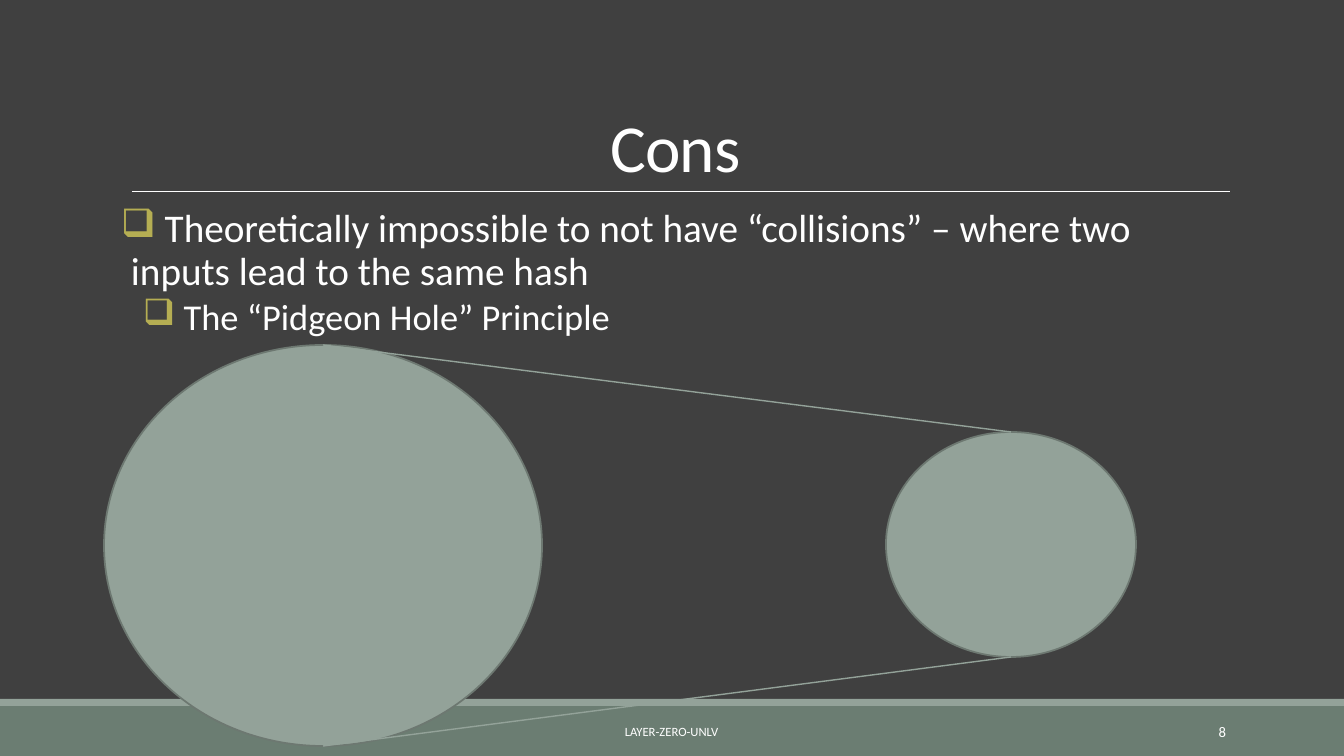
from lxml import etree
from pptx import Presentation
from pptx.dml.color import RGBColor
from pptx.enum.shapes import MSO_CONNECTOR, MSO_SHAPE
from pptx.enum.text import MSO_ANCHOR, MSO_AUTO_SIZE, PP_ALIGN
from pptx.oxml.ns import qn
from pptx.util import Emu, Pt

RECT, OVAL = MSO_SHAPE.RECTANGLE, MSO_SHAPE.OVAL
STRAIGHT = MSO_CONNECTOR.STRAIGHT
TOP, MIDDLE, BOTTOM = MSO_ANCHOR.TOP, MSO_ANCHOR.MIDDLE, MSO_ANCHOR.BOTTOM
LEFT, CENTER, RIGHT = PP_ALIGN.LEFT, PP_ALIGN.CENTER, PP_ALIGN.RIGHT

FONT = "Calibri"
DARK, GREEN, SAGE = "404040", "6B7D72", "93A299"
EDGE, GOLD, WHITE = "6D7871", "B5AE53", "FFFFFF"


def px(num):
    return Emu(round(num * 914400 / 100.8))


def color(code):
    return RGBColor.from_string(code)


def add_block(slide, kind, box, fill, edge=None):
    block = slide.shapes.add_shape(kind, *map(px, box))
    block.shadow.inherit = False
    block.fill.solid()
    block.fill.fore_color.rgb = color(fill)
    if edge:
        block.line.color.rgb = color(edge)
        block.line.width = Pt(1.25)
    else:
        block.line.fill.background()


def add_line(slide, start, end, tint, width):
    line = slide.shapes.add_connector(STRAIGHT, *map(px, start + end))
    line.line.color.rgb = color(tint)
    line.line.width = Pt(width)
    etree.SubElement(line._element.spPr, qn("a:effectLst"))


def set_frame(shape, anchor):
    frame = shape.text_frame
    frame.word_wrap = True
    frame.auto_size = MSO_AUTO_SIZE.NONE
    frame.vertical_anchor = anchor
    return frame


def add_run(para, text, size):
    run = para.add_run()
    run.text = text
    run.font.name = FONT
    run.font.size = Pt(size)
    run.font.color.rgb = color(WHITE)
    return run


def add_title(slide, text):
    title = slide.shapes.title
    title.left, title.top, title.width, title.height = map(px, (121, 31, 1109, 160))
    para = set_frame(title, BOTTOM).paragraphs[0]
    para.alignment = CENTER
    para.line_spacing = 0.85
    run = add_run(para, text, 48)
    run.font._element.set("spc", "-50")


def add_label(slide, box, text, size, align):
    label = slide.shapes.add_textbox(*map(px, box))
    para = set_frame(label, MIDDLE).paragraphs[0]
    para.alignment = align
    add_run(para, text, size)


def set_bullet(para, margin, hang):
    props = para._p.get_or_add_pPr()
    props.set("marL", str(px(margin)))
    props.set("indent", str(px(-hang)))
    tint = etree.SubElement(props, qn("a:buClr"))
    etree.SubElement(tint, qn("a:srgbClr"), val=GOLD)
    etree.SubElement(props, qn("a:buChar"), char="❑")


def add_points(slide, box, points):
    """Each point holds text, size, margin, hang, space before and after."""
    body = slide.shapes.add_textbox(*map(px, box))
    frame = set_frame(body, TOP)
    frame.margin_left = frame.margin_right = 0
    for level, (text, size, margin, hang, before, after) in enumerate(points):
        para = frame.add_paragraph() if level else frame.paragraphs[0]
        para.level = level
        para.alignment = LEFT
        para.line_spacing = 0.9
        para.space_before, para.space_after = Pt(before), Pt(after)
        set_bullet(para, margin, hang)
        add_run(para, text, size)


def main():
    deck = Presentation()
    deck.slide_width, deck.slide_height = px(1344), px(756)
    slide = deck.slides.add_slide(deck.slide_layouts[5])
    back = slide.background.fill
    back.solid()
    back.fore_color.rgb = color(DARK)

    add_block(slide, RECT, (0, 706, 1344, 50), GREEN)
    add_block(slide, RECT, (0, 699, 1344, 7), SAGE)
    add_line(slide, (132, 191), (1230, 191), WHITE, 0.5)
    add_title(slide, "Cons")
    add_points(slide, (121, 204, 1109, 444), [
        (" Theoretically impossible to not have “collisions” – where two "
         "inputs lead to the same hash", 28, 10, 10, 0, 2),
        (" The “Pidgeon Hole” Principle", 26, 42, 20, 2, 4),
    ])

    add_block(slide, OVAL, (104, 345, 438, 401), SAGE, EDGE)
    add_block(slide, OVAL, (886, 432, 250, 225), SAGE, EDGE)
    for near, far in ((345, 432), (746, 657)):
        add_line(slide, (323, near), (1011, far), SAGE, 1)

    add_label(slide, (406, 712, 531, 40), "LAYER-ZERO-UNLV", 9, CENTER)
    add_label(slide, (1092, 712, 144, 40), "8", 10.5, RIGHT)
    deck.save("out.pptx")


if __name__ == "__main__":
    main()
